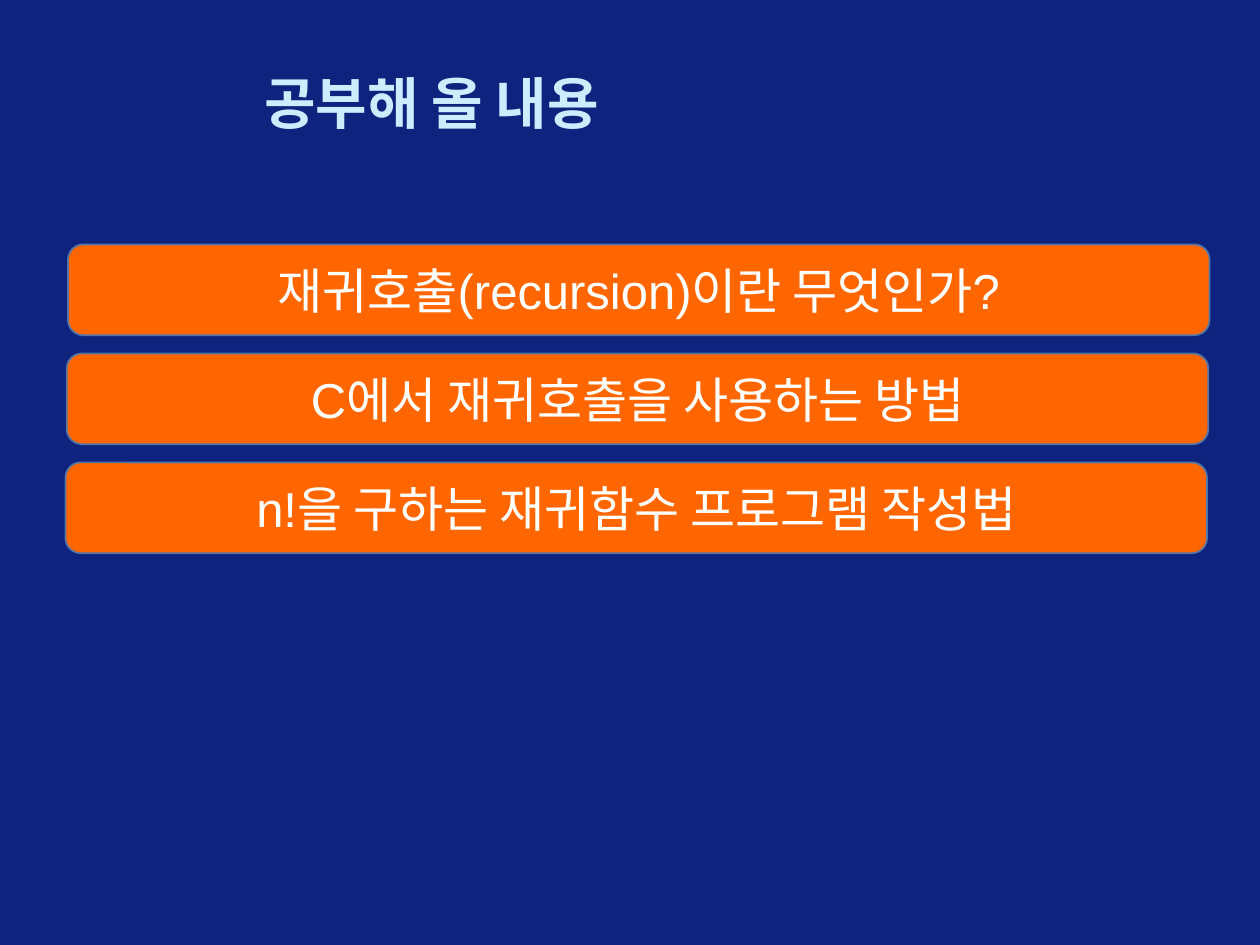
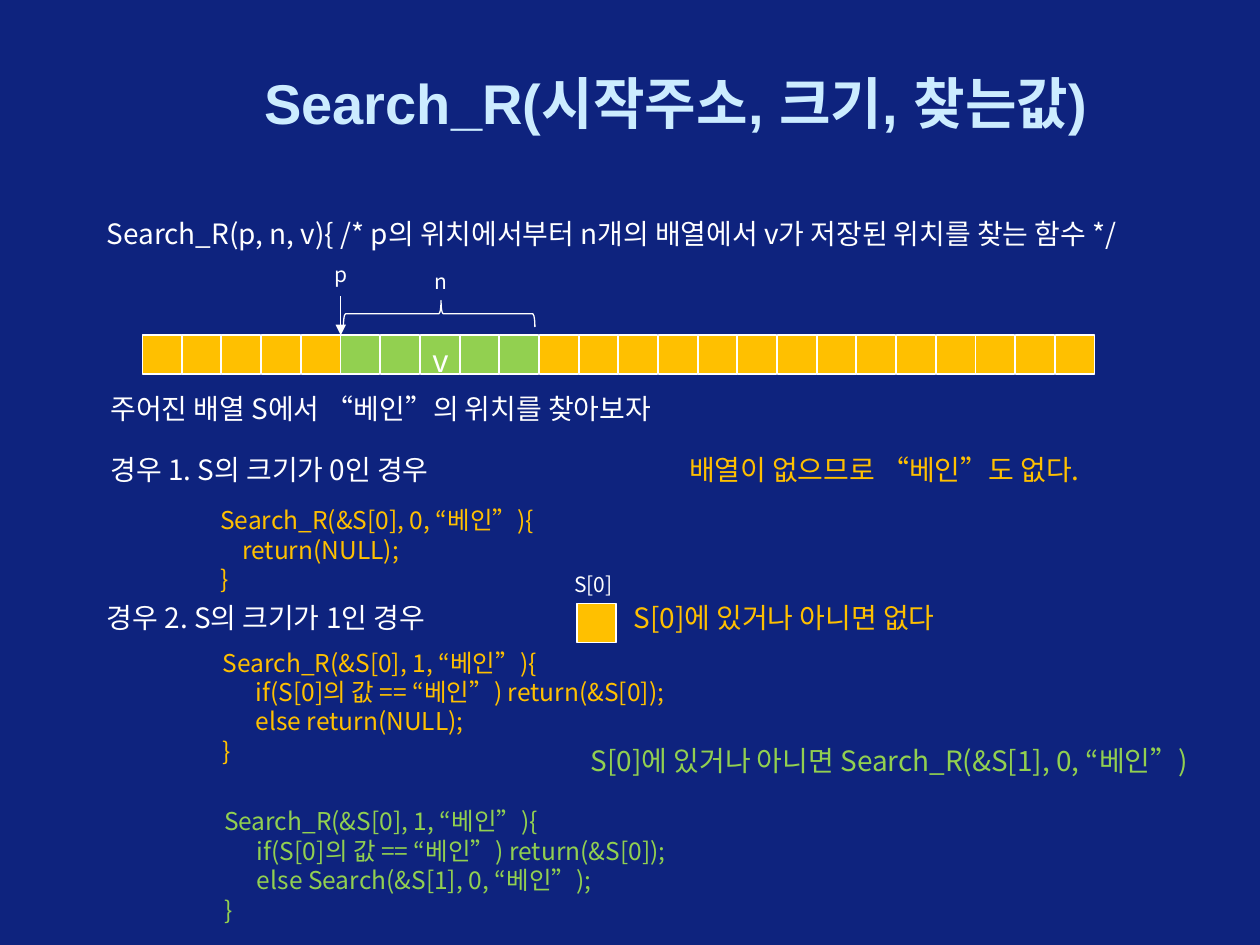
"""Builds two slides that introduce a recursive array search."""
from lxml.etree import SubElement
from pptx import Presentation
from pptx.dml.color import RGBColor
from pptx.enum.shapes import MSO_CONNECTOR as Connector, MSO_SHAPE as Shape
from pptx.enum.text import MSO_ANCHOR as Anchor, MSO_AUTO_SIZE as AutoSize, PP_ALIGN as Align
from pptx.oxml.ns import qn
from pptx.util import Inches, Pt

NAVY = RGBColor(0x0E, 0x23, 0x7E)
ICE = RGBColor(0xCC, 0xEC, 0xFF)
ORANGE = RGBColor(0xFF, 0x66, 0x00)
STEEL = RGBColor(0x53, 0x75, 0xA7)
WHITE = RGBColor(0xFF, 0xFF, 0xFF)
AMBER = RGBColor(0xFF, 0xC0, 0x00)
GREEN = RGBColor(0x92, 0xD0, 0x50)

HEADING_FONT = "Arial"
BODY_FONT = "Noto Sans CJK KR"
COLUMNS, ROWS = 100, 75
CELL, CELL_STEP = 3.1, 3.15
LINE_HEIGHT = 1.2


def write(frame, text, *, size, color=WHITE, font=BODY_FONT, bold=False,
          align=Align.LEFT, anchor=Anchor.TOP, wrap=True, leading=None):
    frame.word_wrap = wrap
    frame.vertical_anchor = anchor
    for number, line in enumerate(text.split("\n")):
        paragraph = frame.add_paragraph() if number else frame.paragraphs[0]
        paragraph.alignment = align
        if leading:
            paragraph.line_spacing = Pt(leading)
        run = paragraph.add_run()
        run.text = line
        run.font.size = Pt(size)
        run.font.name = font
        run.font.bold = bold
        run.font.color.rgb = color


class Deck:
    def __init__(self):
        self.show = Presentation()
        self.show.slide_width, self.show.slide_height = Inches(10), Inches(7.5)
        self.slide = None

    def place(self, column, row, width, height):
        across = self.show.slide_width / COLUMNS
        down = self.show.slide_height / ROWS
        return (round(column * across), round(row * down),
                round(width * across), round(height * down))

    def start(self, title):
        self.slide = self.show.slides.add_slide(self.show.slide_layouts[6])
        self.slide.background.fill.solid()
        self.slide.background.fill.fore_color.rgb = NAVY
        heading = self.slide.shapes.add_textbox(*self.place(20, 5, 75.8, 6.2))
        write(heading.text_frame, title, size=32, color=ICE, font=HEADING_FONT,
              bold=True, anchor=Anchor.MIDDLE)

    def block(self, kind, area, fill=None, line=WHITE, weight=0.75):
        block = self.slide.shapes.add_shape(kind, *self.place(*area))
        block.shadow.inherit = False
        if fill is None:
            block.fill.background()
        else:
            block.fill.solid()
            block.fill.fore_color.rgb = fill
        block.line.color.rgb = line
        block.line.width = Pt(weight)
        return block

    def bar(self, text, area):
        bar = self.block(Shape.ROUNDED_RECTANGLE, area, ORANGE, STEEL, 1)
        write(bar.text_frame, text, size=28, font=HEADING_FONT,
              align=Align.CENTER, anchor=Anchor.MIDDLE)

    def cell(self, column, row, fill=AMBER):
        return self.block(Shape.RECTANGLE, (column, row, CELL, CELL), fill)

    def note(self, text, column, row, width, size=16, color=WHITE):
        leading = size * LINE_HEIGHT
        height = 1 + (text.count("\n") + 1) * leading / 7.2
        note = self.slide.shapes.add_textbox(*self.place(column, row, width, height))
        note.text_frame.auto_size = AutoSize.SHAPE_TO_FIT_TEXT
        write(note.text_frame, text, size=size, color=color, wrap=False, leading=leading)

    def arrow_down(self, column, row, length):
        left, top, _, drop = self.place(column, row, 0, length)
        arrow = self.slide.shapes.add_connector(Connector.STRAIGHT, left, top, left, top + drop)
        arrow.line.color.rgb = WHITE
        arrow.line.width = Pt(0.75)
        SubElement(arrow.line._get_or_add_ln(), qn("a:tailEnd"), type="triangle")
        SubElement(arrow._element.spPr, qn("a:effectLst"))

    def brace_above(self, area):
        brace = self.block(Shape.RIGHT_BRACE, area)
        brace.rotation = 270
        brace.adjustments[0], brace.adjustments[1] = 0.08, 0.51


def build_topics(deck):
    deck.start("공부해 올 내용")
    topics = ("재귀호출(recursion)이란 무엇인가?",
              "C에서 재귀호출을 사용하는 방법",
              "n!을 구하는 재귀함수 프로그램 작성법")
    for number, topic in enumerate(topics):
        deck.bar(topic, (5.4 - 0.1 * number, 19.4 + 8.65 * number, 90.6, 7.2))


def build_search(deck):
    deck.start("Search_R(시작주소, 크기, 찾는값)")
    deck.note("Search_R(p, n, v){ /* p의 위치에서부터 n개의 배열에서 v가 저장된 위치를 찾는 함수 */",
              7.5, 16.7, 91.5)

    array_left, array_top = 11.3, 26.6
    searched = range(5, 10)
    for index in range(24):
        cell = deck.cell(array_left + CELL_STEP * index, array_top,
                         GREEN if index in searched else AMBER)
        if index == 7:
            write(cell.text_frame, "v", size=18, font=HEADING_FONT)
    deck.arrow_down(array_left + CELL_STEP * searched[0], 23.5, 3.1)
    deck.note("p", 25.6, 20.3, 3, size=12)
    deck.brace_above((33.8, 17.3, 2.1, 15.2))
    deck.note("n", 33.5, 20.8, 3, size=12)

    deck.note("주어진 배열 S에서 “베인”의 위치를 찾아보자", 7.8, 30.6, 47.3)
    deck.note("경우 1. S의 크기가 0인 경우", 7.8, 35.4, 30.8)
    deck.note("배열이 없으므로 “베인”도 없다.", 53.7, 35.4, 33.9, color=AMBER)
    deck.note("Search_R(&S[0], 0, “베인”){\n    return(NULL);\n}",
              16.5, 39.6, 28.4, size=14, color=AMBER)

    deck.cell(45.8, 47.9)
    deck.note("경우 2. S의 크기가 1인 경우", 7.5, 47.2, 30.8)
    deck.note("S[0]", 44.6, 44.9, 5.7, size=12)
    deck.note("S[0]에 있거나 아니면 없다", 49.3, 47.2, 29.4, color=AMBER)
    deck.note("S[0]에 있거나 아니면 Search_R(&S[1], 0, “베인”)", 45.9, 58.5, 54.1, color=GREEN)

    versions = ((16.7, 50.9, "return(NULL);", AMBER),
                (16.8, 63.5, "Search(&S[1], 0, “베인”);", GREEN))
    for column, row, otherwise, color in versions:
        deck.note("Search_R(&S[0], 1, “베인”){\n"
                  "      if(S[0]의 값 == “베인”) return(&S[0]);\n"
                  f"      else {otherwise}\n"
                  "}", column, row, 40.8, size=14, color=color)


def main():
    deck = Deck()
    build_topics(deck)
    build_search(deck)
    deck.show.save("out.pptx")


if __name__ == "__main__":
    main()
